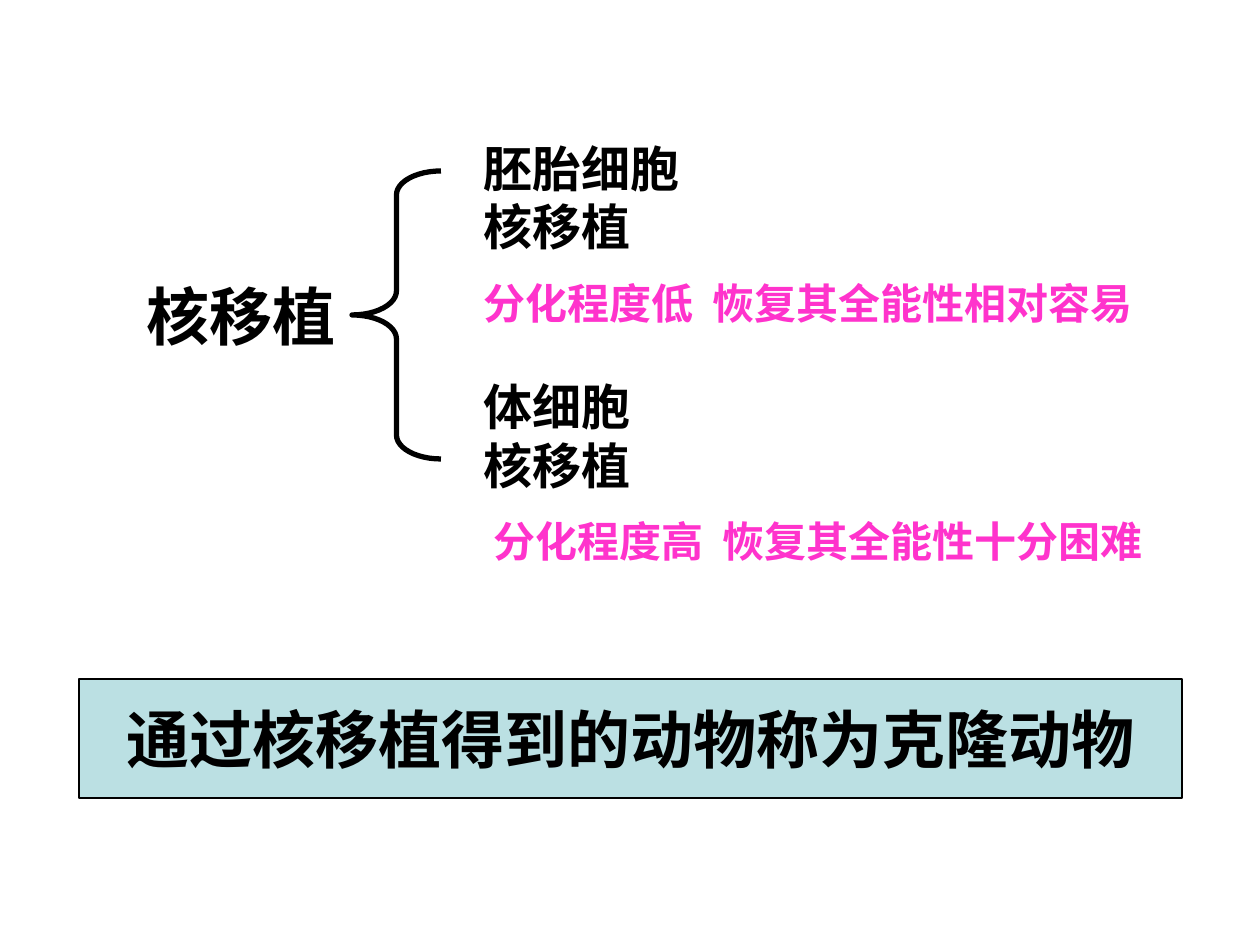
import pptx
import pptx.util
import pptx.dml.color
import pptx.enum.shapes
import pptx.enum.text
import lxml.etree

PX = 914400 // 126
HUES = {"ink": "000000", "pink": "FF33CC", "pale": "BBE0E3"}


def tint(name):
    return pptx.dml.color.RGBColor.from_string(HUES[name])


def write(frame, lines, size, hue):
    frame.text = "\n".join(lines)
    looks = {"name": "Arial", "size": pptx.util.Pt(size), "bold": True}
    for para in frame.paragraphs:
        for run in para.runs:
            for key, val in looks.items():
                setattr(run.font, key, val)
            run.font.color.rgb = tint(hue)


deck = pptx.Presentation()
deck.slide_width = 1260 * PX
deck.slide_height = 945 * PX
slide = deck.slides.add_slide(deck.slide_layouts[6])
shapes = slide.shapes
kinds = pptx.enum.shapes.MSO_SHAPE

brace = shapes.add_shape(kinds.LEFT_BRACE, *[n * PX for n in (352, 171, 89, 288)])
brace.adjustments[0] = 0.27
brace.shadow.inherit = False
brace.fill.background()
brace.line.color.rgb = tint("ink")
brace.line.width = pptx.util.Pt(3)

texts = [
    ((134, 271, 218, 88), ["核移植"], 36, "ink"),
    ((471, 132, 238, 368), ["胚胎细胞\v核移植", "体细胞\v核移植"], 28, "ink"),
    ((471, 271, 694, 63), ["分化程度低\t恢复其全能性相对容易"], 24, "pink"),
    ((481, 509, 694, 63), ["分化程度高\t恢复其全能性十分困难"], 24, "pink"),
]
for spot, lines, size, hue in texts:
    frame = shapes.add_textbox(*[n * PX for n in spot]).text_frame
    frame.word_wrap = True
    write(frame, lines, size, hue)
    for para in frame.paragraphs[1:]:
        para.space_before = pptx.util.Pt(69)
    if "\t" in lines[0]:
        props = frame.paragraphs[0]._p.get_or_add_pPr()
        space = "{" + props.nsmap["a"] + "}"
        tabs = lxml.etree.SubElement(props, space + "tabLst")
        lxml.etree.SubElement(tabs, space + "tab", pos=str(229 * PX), algn="l")

banner = shapes.add_shape(kinds.RECTANGLE, *[n * PX for n in (79, 679, 1103, 119)])
banner.shadow.inherit = False
banner.fill.solid()
banner.fill.fore_color.rgb = tint("pale")
banner.line.color.rgb = tint("ink")
banner.line.width = pptx.util.Pt(0.75)
frame = banner.text_frame
frame.word_wrap = False
frame.vertical_anchor = pptx.enum.text.MSO_ANCHOR.MIDDLE
write(frame, ["通过核移植得到的动物称为克隆动物"], 36, "ink")
frame.paragraphs[0].alignment = pptx.enum.text.PP_ALIGN.CENTER

deck.save("out.pptx")
